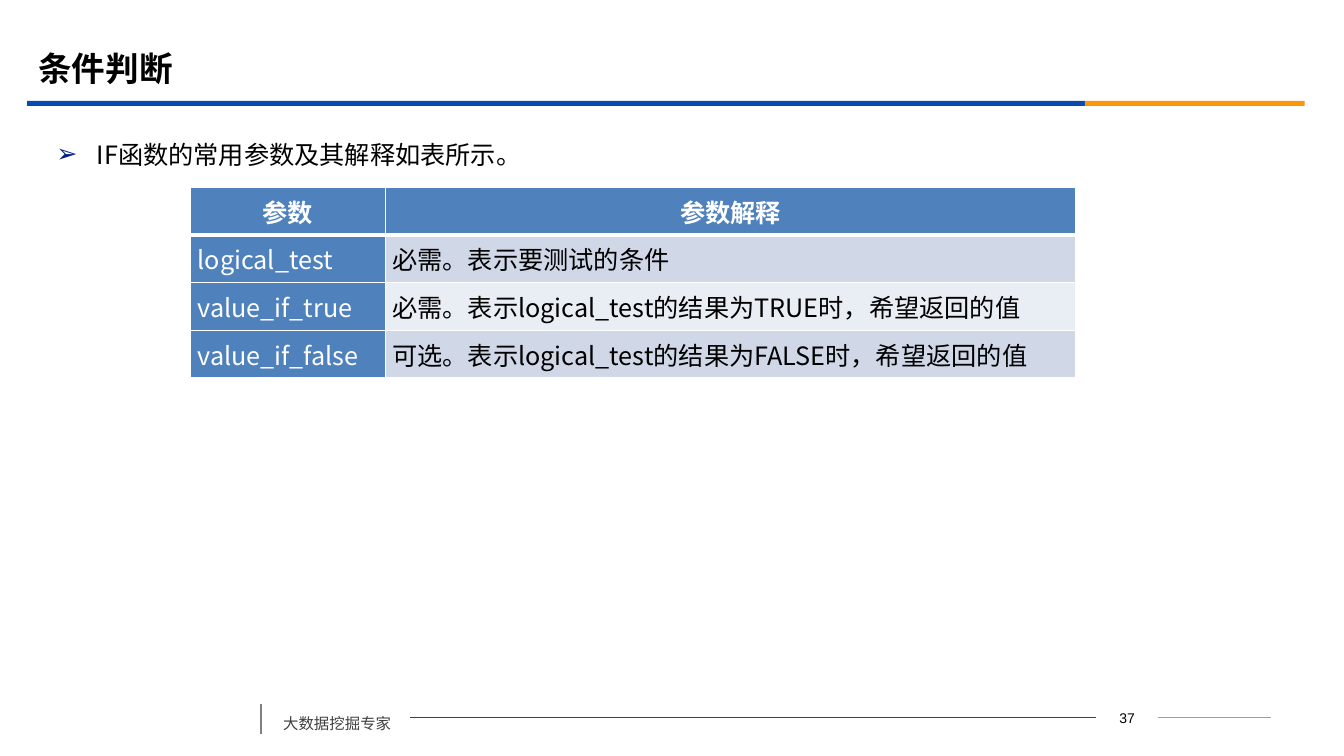
from dataclasses import dataclass

from lxml.etree import SubElement
from pptx import Presentation
from pptx.dml.color import RGBColor
from pptx.enum.shapes import MSO_CONNECTOR, MSO_SHAPE
from pptx.enum.text import MSO_ANCHOR, MSO_AUTO_SIZE, PP_ALIGN
from pptx.oxml.ns import qn
from pptx.util import Inches, Pt


@dataclass(frozen=True)
class Theme:
    font: str = "Noto Sans CJK SC"
    number_font: str = "Arial"
    title_size: int = 24
    body_size: int = 18
    footer_size: int = 11
    number_size: int = 10
    black: str = "000000"
    white: str = "FFFFFF"
    blue: str = "064BB2"
    orange: str = "FB9708"
    bullet: str = "032089"
    header: str = "4F81BD"
    odd_row: str = "D0D8E8"
    even_row: str = "E9EDF4"
    footer_text: str = "404040"
    footer_line: str = "404040"
    end_line: str = "A0A0A0"
    divider: str = "808080"


theme = Theme()


def add_span(para, text, size, color, bold=False, font=theme.font):
    span = para.add_run()
    span.text = text
    span.font.size = Pt(size)
    span.font.bold = bold
    span.font.color.rgb = RGBColor.from_string(color)
    span.font.name = font
    SubElement(span.font._element, qn("a:ea"), typeface=font)


def add_text_box(left, top, width, height):
    box = page.shapes.add_textbox(Inches(left), Inches(top), Inches(width), Inches(height))
    box.text_frame.word_wrap = True
    return box.text_frame.paragraphs[0]


deck = Presentation()
deck.slide_width, deck.slide_height = Inches(13.33), Inches(7.5)
page = deck.slides.add_slide(deck.slide_layouts[1])

# Two-colour rule under the title
for left, width, color in ((0.27, 10.49, theme.blue), (10.76, 2.18, theme.orange)):
    bar = page.shapes.add_shape(
        MSO_SHAPE.RECTANGLE, Inches(left), Inches(1), Inches(width), Inches(0.05))
    bar.shadow.inherit = False
    bar.fill.solid()
    bar.fill.fore_color.rgb = RGBColor.from_string(color)
    bar.line.fill.background()

# Footer lines
footer_lines = (
    (2.59, 6.98, 2.59, 7.28, theme.divider, 1.25),
    (4.07, 7.12, 10.87, 7.12, theme.footer_line, 0.75),
    (11.49, 7.12, 12.61, 7.12, theme.end_line, 0.75),
)
for x1, y1, x2, y2, color, weight in footer_lines:
    rule = page.shapes.add_connector(
        MSO_CONNECTOR.STRAIGHT, Inches(x1), Inches(y1), Inches(x2), Inches(y2))
    rule.line.color.rgb = RGBColor.from_string(color)
    rule.line.width = Pt(weight)
    SubElement(rule._element.spPr, qn("a:effectLst"))

# Footer text and page number
para = add_text_box(2.71, 6.94, 1.36, 0.38)
para.line_spacing = 1.5
add_span(para, "大数据挖掘专家", theme.footer_size, theme.footer_text)

para = add_text_box(10.87, 6.99, 0.62, 0.25)
para.alignment = PP_ALIGN.CENTER
add_span(para, "37", theme.number_size, theme.black, font=theme.number_font)

# Title
title = page.shapes.title
title.left, title.top, title.width, title.height = map(Inches, (0.28, 0.39, 12, 0.58))
title.text_frame.auto_size = MSO_AUTO_SIZE.NONE
title.text_frame.vertical_anchor = MSO_ANCHOR.MIDDLE
para = title.text_frame.paragraphs[0]
para.alignment = PP_ALIGN.LEFT
add_span(para, "条件判断", theme.title_size, theme.black, bold=True)

# Bulleted introduction
body = page.placeholders[1]
body.left, body.top, body.width, body.height = map(Inches, (0.46, 1.18, 12.15, 5.5))
body.text_frame.auto_size = MSO_AUTO_SIZE.NONE
para = body.text_frame.paragraphs[0]
para.line_spacing = 1.5
para.space_before = Pt(0)
properties = para._p.get_or_add_pPr()
properties.set("marL", str(Inches(0.4)))
properties.set("indent", str(-Inches(0.4)))
bullet_color = SubElement(properties, qn("a:buClr"))
SubElement(bullet_color, qn("a:srgbClr"), val=theme.bullet)
SubElement(properties, qn("a:buFont"), typeface=theme.number_font)
SubElement(properties, qn("a:buChar"), char="➢")
add_span(para, "IF函数的常用参数及其解释如表所示。", theme.body_size, theme.black)

# Parameter table
rows = (
    ("参数", "参数解释"),
    ("logical_test", "必需。表示要测试的条件"),
    ("value_if_true", "必需。表示logical_test的结果为TRUE时，希望返回的值"),
    ("value_if_false", "可选。表示logical_test的结果为FALSE时，希望返回的值"),
)
table = page.shapes.add_table(
    len(rows), 2, Inches(1.89), Inches(1.86), Inches(8.78), Inches(1.89)).table
table.horz_banding = False
for column, width in zip(table.columns, (1.93, 6.85)):
    column.width = Inches(width)

for row_index, row in enumerate(rows):
    is_header = row_index == 0
    for column_index, text in enumerate(row):
        cell = table.cell(row_index, column_index)
        cell.margin_left = cell.margin_right = Inches(0.07)
        cell.margin_top = cell.margin_bottom = 0
        cell.vertical_anchor = MSO_ANCHOR.MIDDLE

        # White borders, thicker below the header
        thick_side = {0: "lnB", 1: "lnT"}.get(row_index)
        for side in ("lnL", "lnR", "lnT", "lnB"):
            weight = Pt(3 if side == thick_side else 1)
            border = SubElement(cell._tc.get_or_add_tcPr(), qn(f"a:{side}"), w=str(weight))
            paint = SubElement(border, qn("a:solidFill"))
            SubElement(paint, qn("a:srgbClr"), val=theme.white)

        is_blue = is_header or column_index == 0
        band = theme.odd_row if row_index % 2 else theme.even_row
        cell.fill.solid()
        cell.fill.fore_color.rgb = RGBColor.from_string(theme.header if is_blue else band)
        para = cell.text_frame.paragraphs[0]
        para.alignment = PP_ALIGN.CENTER if is_header else PP_ALIGN.JUSTIFY
        add_span(para, text, theme.body_size,
                 theme.white if is_blue else theme.black, bold=is_header)

deck.save("out.pptx")
